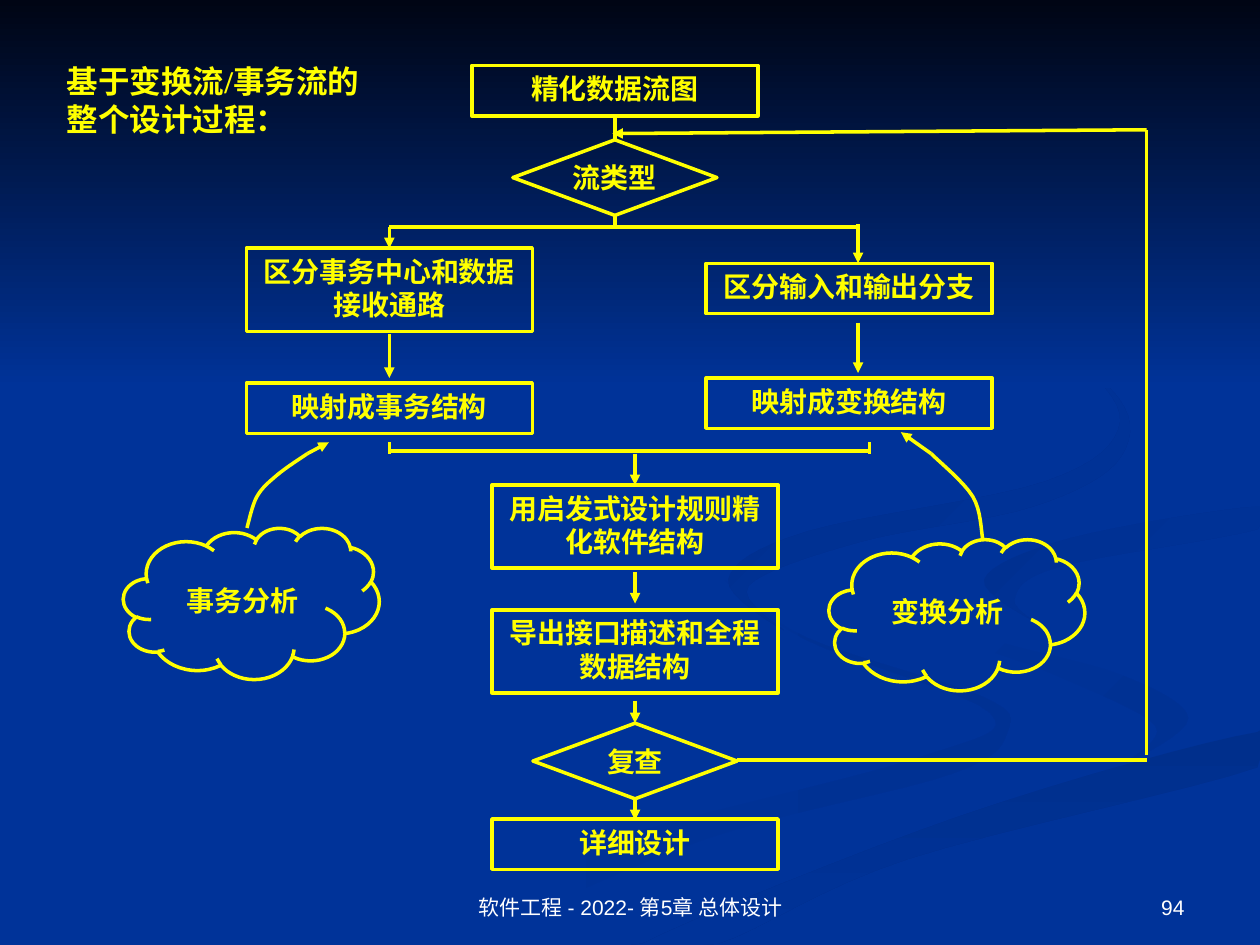
import dataclasses
import lxml.etree
import pptx
import pptx.dml.color
import pptx.enum.shapes
import pptx.enum.text
import pptx.oxml.ns
import pptx.util

KIND = pptx.enum.shapes.MSO_SHAPE
ALIGN = pptx.enum.text.PP_ALIGN
ANCHOR = pptx.enum.text.MSO_ANCHOR
YELLOW, WHITE, BLUE = "FFFF00", "FFFFFF", "003399"
SERIF, SANS = "Times New Roman", "Arial"
START, LEFT, RIGHT, HUB, BACK = 48.8, 30.9, 68.1, 50.4, 91
WIDE, LOW, TALL = 22.7, 4, 6.6

SWIRLS = [
    (BLUE, "003193", 0, [
        (57.5, 46), (64, 50.6), (78, 55.3), (80, 58), (75.6, 61.4), (56, 66.6),
        (36, 74.9), (30, 74.9), (46, 67.4), (72.7, 60.2), (78.6, 56.6), (64, 50.8)]),
    (BLUE, "003193", 45, [
        (72.5, 46.5), (77.4, 50.3), (88.8, 53.5), (94.3, 57), (89.4, 60.5),
        (91.7, 57.6), (83.8, 53.6), (74.6, 50)]),
    ("002F8C", BLUE, 90, [
        (51, 74.9), (57, 74.9), (72, 68.2), (99.8, 60.9), (99.8, 58.1), (76.4, 64.7)]),
    ("003091", BLUE, 45, [
        (78.1, 46), (82.6, 49.6), (80.5, 47.6), (84, 45), (99.8, 42), (99.8, 40.2), (85, 42.7)]),
    ("002F8E", BLUE, 45, [
        (76.2, 23.3), (88, 30.7), (89, 36.2), (82, 40.2), (68.3, 43), (59.4, 46.5),
        (62.2, 50), (57.8, 46), (64, 42.2), (83, 38.2), (88.9, 33.5), (84.6, 27.9)]),
]
STEPS = [
    (START, 5.2, LOW, "精化数据流图"), (67.4, 20.9, LOW, "区分输入和输出分支"),
    (LEFT, 19.7, TALL, "区分事务中心和数据接收通路"), (67.4, 30, LOW, "映射成变换结构"),
    (LEFT, 30.4, LOW, "映射成事务结构"), (HUB, 38.5, TALL, "用启发式设计规则精化软件结构"),
    (HUB, 48.4, TALL, "导出接口描述和全程数据结构"), (HUB, 65, LOW, "详细设计"),
]
STEMS = [(START, 9.4, 11.1), (START, 17.1, 18), (LEFT, 35.1, 36), (69, 35.1, 36), (BACK, 59.9, 10.3)]
BARS = [(LEFT, RIGHT, 18), (LEFT, 69, 35.8), (58.5, BACK, 60.3)]
DROPS = [
    (LEFT, 18, 19.7), (LEFT, 26.5, 30), (RIGHT, 17.8, 20.9), (RIGHT, 25.6, 29.6),
    (HUB, 36, 38.5), (HUB, 45.4, 47.9), (HUB, 55.6, 57.4), (HUB, 63.3, 65.1),
]
BENDS = [
    ([(19.6, 41.9), (20.4, 39.4), (22, 37.7), (24.4, 36)], (26.1, 35.1)),
    ([(78, 42.8), (77.2, 39.4), (73.9, 36)], (71.5, 34.3)),
]


@dataclasses.dataclass
class Grid:
    """A box cut into 100 columns and 75 rows."""
    left: int
    top: int
    width: int
    height: int

    def spot(self, x, y):
        """Return the slide position of a grid point."""
        return int(self.left + self.width * x / 100), int(self.top + self.height * y / 75)

    def area(self, x, y, w, h):
        """Return left, top, width and height of a grid area."""
        return *self.spot(x, y), int(self.width * w / 100), int(self.height * h / 75)


def tint(code):
    """Turn a hex string into a colour."""
    return pptx.dml.color.RGBColor.from_string(code)


def write(shape, text, size, font, code, bold, align, anchor, wrap=True):
    """Put one formatted run into a shape."""
    frame = shape.text_frame
    frame.word_wrap = wrap
    frame.auto_size = pptx.enum.text.MSO_AUTO_SIZE.NONE
    frame.vertical_anchor = anchor
    para = frame.paragraphs[0]
    para.alignment = align
    run = para.add_run()
    run.text = text
    run.font.size = pptx.util.Pt(size)
    run.font.name = font
    run.font.bold = bold
    run.font.color.rgb = tint(code)


def edge(shape):
    """Give a shape or connector the yellow line."""
    shape.line.color.rgb = tint(YELLOW)
    shape.line.width = pptx.util.Pt(2)


def blend(shape, first, last, angle):
    """Fill a shape with a two-colour gradient and no line."""
    shape.shadow.inherit = False
    shape.line.fill.background()
    shape.fill.gradient()
    shape.fill.gradient_angle = -angle % 360
    for stop, code in zip(shape.fill.gradient_stops, (first, last)):
        stop.color.rgb = tint(code)


def trace(slide, grid, knots, close):
    """Draw a smooth outline through the knots, kept inside the box."""
    chain = [knots[-1], *knots, *knots[:2]] if close else [knots[0], *knots, knots[-1]]
    points = [knots[0]]
    for a, b, c, d in zip(chain, chain[1:], chain[2:], chain[3:]):
        for t in (n / 8 for n in range(1, 9)):
            x, y = (q + t * (r - p + t * (2 * p - 5 * q + 4 * r - s + t * (3 * q - p - 3 * r + s))) / 2
                    for p, q, r, s in zip(a, b, c, d))
            points.append((min(x, 100), min(y, 75)))
    spots = [grid.spot(x, y) for x, y in points]
    pen = slide.shapes.build_freeform(*spots[0])
    pen.add_line_segments(spots[1:], close=close)
    return pen.convert_to_shape()


def node(slide, grid, kind, area, text, anchor, wrap=True):
    """Place one outlined shape with its label."""
    shape = slide.shapes.add_shape(kind, *grid.area(*area))
    shape.shadow.inherit = False
    shape.fill.background()
    edge(shape)
    write(shape, text, 16, SERIF, YELLOW, True, ALIGN.CENTER, anchor, wrap)


def link(slide, grid, start, end, arrow=False):
    """Draw a straight line, with an arrowhead if asked."""
    line = slide.shapes.add_connector(
        pptx.enum.shapes.MSO_CONNECTOR.STRAIGHT, *grid.spot(*start), *grid.spot(*end))
    edge(line)
    name = pptx.oxml.ns.qn
    if arrow:
        tip = line._element.spPr.find(name("a:ln"))
        lxml.etree.SubElement(tip, name("a:tailEnd"), type="triangle")
    lxml.etree.SubElement(line._element.spPr, name("a:effectLst"))


def scene(slide, grid):
    """Paint the background, its swirls and the dark top."""
    slide.background.fill.solid()
    slide.background.fill.fore_color.rgb = tint(BLUE)
    for first, last, angle, knots in SWIRLS:
        blend(trace(slide, grid, knots, True), first, last, angle)
    top = slide.shapes.add_shape(KIND.RECTANGLE, *grid.area(0, 0, 100, 30.8))
    blend(top, "000514", BLUE, 90)


def flow(slide, grid):
    """Draw the flow chart."""
    for mid, top, high, text in STEPS:
        node(slide, grid, KIND.RECTANGLE, (mid - WIDE / 2, top, WIDE, high), text, ANCHOR.TOP)
    for mid, top, text in ((START, 11.1, "流类型"), (HUB, 57.4, "复查")):
        node(slide, grid, KIND.DIAMOND, (mid - 8.1, top, 16.2, 6), text, ANCHOR.MIDDLE, False)
    for left, top, text in ((9.8, 41.9, "事务分析"), (65.8, 42.8, "变换分析")):
        node(slide, grid, KIND.CLOUD, (left, top, 20.3, 12), text, ANCHOR.MIDDLE)
    for group, arrow in ((STEMS, False), (DROPS, True)):
        for x, top, end in group:
            link(slide, grid, (x, top), (x, end), arrow)
    for left, right, y in BARS:
        link(slide, grid, (left, y), (right, y))
    link(slide, grid, (BACK, 10.3), (48.6, 10.6), True)
    for knots, tip in BENDS:
        bend = trace(slide, grid, knots, False)
        bend.shadow.inherit = False
        bend.fill.background()
        edge(bend)
        link(slide, grid, knots[-1], tip, True)


def head(slide, grid):
    """Fill the title."""
    title = slide.shapes.title
    title.left, title.top, title.width, title.height = grid.area(4.3, 4.4, 26.6, 7.1)
    write(title, "基于变换流/事务流的整个设计过程：", 18, SERIF, YELLOW, True, ALIGN.LEFT, ANCHOR.TOP)
    slide.shapes._spTree.append(title._element)


def foot(slide, grid):
    """Write the footer and the page number."""
    for left, wide, text, align in ((34.2, 31.7, "软件工程 - 2022- 第5章 总体设计", ALIGN.CENTER),
                                    (71.7, 23.3, "94", ALIGN.RIGHT)):
        box = slide.shapes.add_textbox(*grid.area(left, 68.3, wide, 5.2))
        write(box, text, 12, SANS, WHITE, False, align, ANCHOR.BOTTOM)


def main():
    """Build and save the slide."""
    deck = pptx.Presentation()
    deck.slide_width, deck.slide_height = pptx.util.Inches(10), pptx.util.Inches(7.5)
    slide = deck.slides.add_slide(deck.slide_layouts[5])
    grid = Grid(0, 0, deck.slide_width, deck.slide_height)
    for part in (scene, flow, foot, head):
        part(slide, grid)
    deck.save("out.pptx")


if __name__ == "__main__":
    main()
